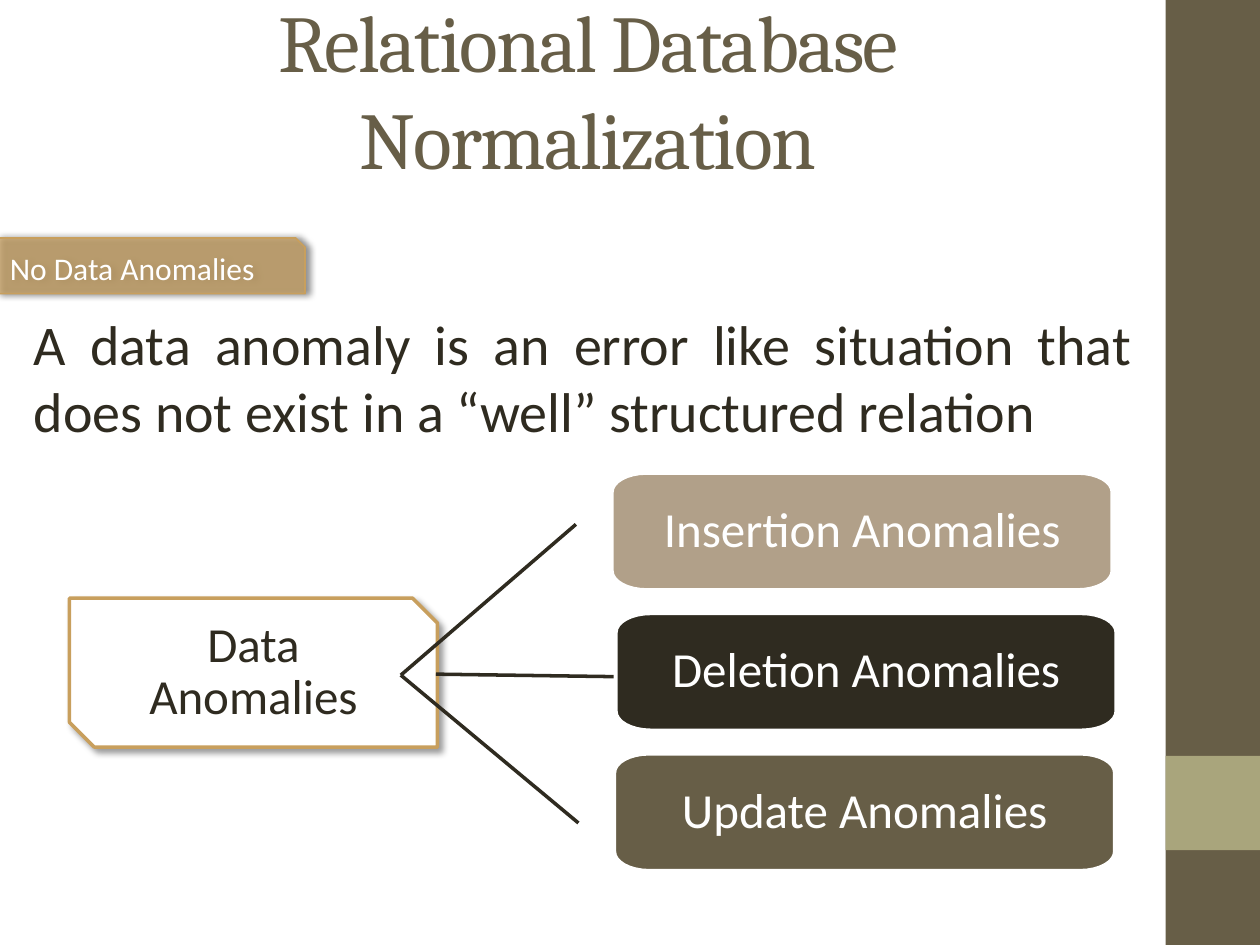
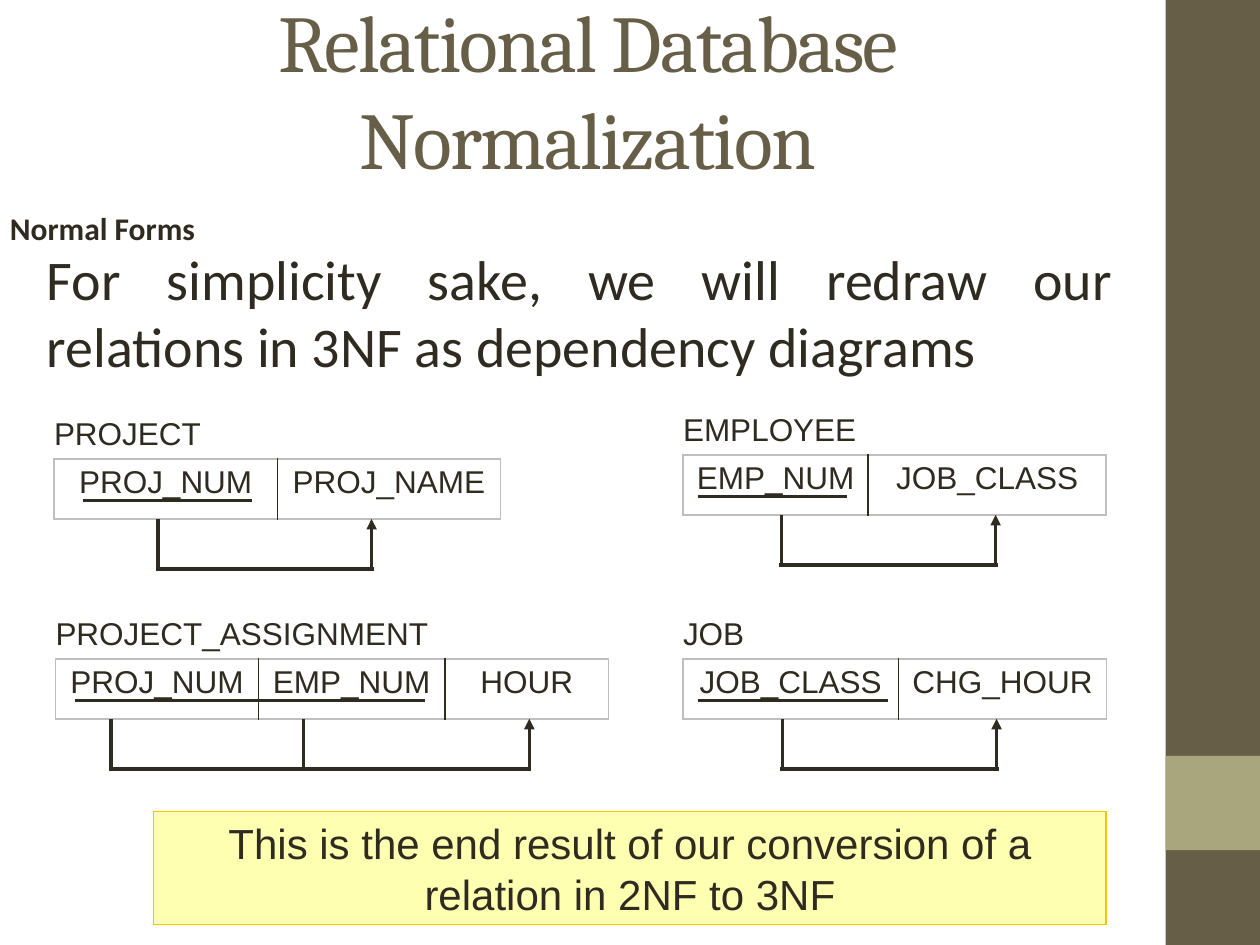
from math import cos, pi, sin

from lxml import etree
from pptx import Presentation
from pptx import util as u
from pptx.dml.color import RGBColor
from pptx.enum import shapes, text
from pptx.oxml import ns

Cm, Pt = u.Cm, u.Pt
SHAPE = shapes.MSO_SHAPE
ALIGN = text.PP_ALIGN
ANCHOR = text.MSO_ANCHOR

COLORS = {
    "ink": "2F2B20", "olive": "675E47", "sage": "A9A57C", "gold": "C89F5D",
    "taupe": "B1A089", "white": "FFFFFF", "yellow": "FFFF00",
    "amber": "FFC000", "grid": "BFBFBF", "black": "000000",
}
TITLE = "Relational Database Normalization"
TITLE_BOX = (1.27, 0.2, 21.16, 3.18)
BANDS = [((23.5, 0, 1.9, 19.05), "olive"), ((23.5, 15.24, 1.9, 1.9), "sage")]

TAG = "No Data Anomalies"
DEFINITION = ("A data anomaly is an error like situation that does not exist "
              "in a “well” structured relation")
ROOT = "Data Anomalies"
ANOMALIES = [
    ("Insertion Anomalies", "taupe", 12.32, (8.08, 13.61, 11.61, 10.57)),
    ("Deletion Anomalies", "ink", 12.4, (8.79, 13.59, 12.37, 13.64)),
    ("Update Anomalies", "olive", 12.37, (8.08, 13.61, 11.66, 16.59)),
]
ANOMALY_TOP, ANOMALY_PITCH = 9.52, 2.83
ANOMALY_SIZE = (10.12, 2.39)
CORNER = (0.71, 0.4)

HEADING = "Normal Forms"
INTRO = ("For simplicity sake, we will redraw our relations in 3NF "
         "as dependency diagrams")
CALLOUT = "This is the end result of our conversion of a relation in 2NF to 3NF"
RELATIONS = [
    {"name": "PROJECT", "at": (1.09, 9.25), "key": (1.68, 5.08),
     "columns": [("PROJ_NUM", 4.5), ("PROJ_NAME", 4.5)],
     "sources": [3.18], "target": 7.49},
    {"name": "PROJECT_ASSIGNMENT", "at": (1.12, 13.28), "key": (1.52, 8.56),
     "columns": [("PROJ_NUM", 4.09), ("EMP_NUM", 3.76), ("HOUR", 3.3)],
     "sources": [2.24, 6.12], "target": 10.67},
    {"name": "EMPLOYEE", "at": (13.77, 9.17), "key": (14.07, 17.07),
     "columns": [("EMP_NUM", 3.73), ("JOB_CLASS", 4.8)],
     "sources": [15.75], "target": 20.07},
    {"name": "JOB", "at": (13.77, 13.28), "key": (14.07, 17.91),
     "columns": [("JOB_CLASS", 4.34), ("CHG_HOUR", 4.2)],
     "sources": [15.77], "target": 20.09},
]
ROW_HEIGHT = 1.21
KEY_DROP = 0.84
RAIL_DROP = 1.01
RAIL_OVERHANG = 0.04


def rgb(name):
    return RGBColor.from_string(COLORS[name])


def add_xml(parent, tag, **attrs):
    return etree.SubElement(parent, ns.qn(tag), attrs)


def style_text(shape, content, size, color, font="Calibri", align=ALIGN.LEFT,
               anchor=ANCHOR.TOP, margins=None, spacing=None, bold=False):
    tf = shape.text_frame
    tf.text = content
    tf.word_wrap = True
    tf.auto_size = text.MSO_AUTO_SIZE.NONE
    tf.vertical_anchor = anchor
    if margins:
        left, top = margins
        tf.margin_left = tf.margin_right = Cm(left)
        tf.margin_top = tf.margin_bottom = Cm(top)
    p = tf.paragraphs[0]
    p.alignment = align
    if spacing:
        p.line_spacing = spacing
    r = p.runs[0]
    r.font.name = font
    r.font.size = Pt(size)
    r.font.bold = bold
    r.font.color.rgb = rgb(color)
    return r


def style_shape(sp, fill, line=None, width=1, alpha=None):
    sp.shadow.inherit = False
    sp.fill.solid()
    sp.fill.fore_color.rgb = rgb(fill)
    if alpha:
        clr = sp._element.spPr.find(ns.qn("a:solidFill"))[0]
        add_xml(clr, "a:alpha", val=str(alpha * 1000))
    if line:
        sp.line.color.rgb = rgb(line)
        sp.line.width = Pt(width)
    else:
        sp.line.fill.background()


def add_box(s, kind, box, *style, **options):
    sp = s.shapes.add_shape(kind, *map(Cm, box))
    style_shape(sp, *style, **options)
    return sp


def add_shadow(sp, alpha, blur, dist, angle):
    effects = sp._element.spPr.find(ns.qn("a:effectLst"))
    shadow = add_xml(effects, "a:outerShdw", blurRad=str(Pt(blur)),
                     dist=str(Pt(dist)), dir=str(angle * 60000),
                     algn="ctr", rotWithShape="0")
    clr = add_xml(shadow, "a:srgbClr", val=COLORS["black"])
    add_xml(clr, "a:alpha", val=str(alpha * 1000))


def add_text(s, box, content, size, **options):
    sp = s.shapes.add_textbox(*map(Cm, box))
    style_text(sp, content, size, "ink", **options)


def add_line(s, x1, y1, x2, y2, arrow=False):
    c = s.shapes.add_connector(shapes.MSO_CONNECTOR.STRAIGHT,
                               *map(Cm, (x1, y1, x2, y2)))
    c.line.color.rgb = rgb("ink")
    c.line.width = Pt(2)
    spPr = c._element.spPr
    if arrow:
        add_xml(spPr.find(ns.qn("a:ln")), "a:tailEnd", type="triangle")
    add_xml(spPr, "a:effectLst")


def add_pill(s, left, top, width, height):
    rx, ry = CORNER
    centres = [(left + width - rx, top + height - ry), (left + rx, top + height - ry),
               (left + rx, top + ry), (left + width - rx, top + ry)]
    points = []
    for quarter, (cx, cy) in enumerate(centres):
        for step in range(9):
            angle = (quarter + step / 8) * pi / 2
            points.append((Cm(cx + rx * cos(angle)), Cm(cy + ry * sin(angle))))
    builder = s.shapes.build_freeform(*points[0])
    builder.add_line_segments(points[1:], close=True)
    return builder.convert_to_shape()


def add_slide(prs):
    s = prs.slides.add_slide(prs.slide_layouts[5])
    title = s.shapes.title
    title.left, title.top, title.width, title.height = map(Cm, TITLE_BOX)
    r = style_text(title, TITLE, 46, "olive", font="Cambria",
                   align=ALIGN.CENTER, anchor=ANCHOR.MIDDLE)
    r.font._element.set("spc", "-100")
    for box, color in BANDS:
        add_box(s, SHAPE.RECTANGLE, box, color)
    return s


def add_relation(s, relation):
    left, top = relation["at"]
    columns = relation["columns"]
    add_text(s, (left - 0.25, top - 1.02, 8.1, 1.02), relation["name"], 18,
             font="Arial")
    table = s.shapes.add_table(
        1, len(columns), Cm(left), Cm(top),
        Cm(sum(width for _, width in columns)), Cm(ROW_HEIGHT)).table
    table.first_row = table.horz_banding = False
    last = len(columns) - 1
    for i, (name, width) in enumerate(columns):
        table.columns[i].width = Cm(width)
        cell = table.cell(0, i)
        cell.text = name
        p = cell.text_frame.paragraphs[0]
        p.alignment = ALIGN.CENTER
        r = p.runs[0]
        r.font.name = "Arial"
        r.font.size = Pt(18)
        r.font.color.rgb = rgb("ink")
        tcPr = cell._tc.get_or_add_tcPr()
        for side, inner in (("L", i > 0), ("R", i < last), ("T", False), ("B", False)):
            ln = add_xml(tcPr, "a:ln" + side, w=str(Pt(1)))
            fill = add_xml(ln, "a:solidFill")
            add_xml(fill, "a:srgbClr", val=COLORS["ink" if inner else "grid"])
        cell.fill.background()

    key_start, key_end = relation["key"]
    add_line(s, key_start, top + KEY_DROP, key_end, top + KEY_DROP)
    bottom = top + ROW_HEIGHT
    rail = bottom + RAIL_DROP
    target = relation["target"]
    for x in relation["sources"]:
        add_line(s, x, rail, x, bottom)
    add_line(s, relation["sources"][0] - RAIL_OVERHANG, rail,
             target + RAIL_OVERHANG, rail)
    add_line(s, target, rail, target, bottom, arrow=True)


def add_anomalies_slide(prs):
    s = add_slide(prs)
    tag = add_box(s, SHAPE.SNIP_1_RECTANGLE, (-0.05, 4.8, 6.2, 1.12),
                  "gold", "gold", alpha=70)
    add_shadow(tag, 60, 4, 2, 0)
    style_text(tag, TAG, 18, "white", anchor=ANCHOR.MIDDLE)
    add_text(s, (0.43, 6.12, 22.66, 3), DEFINITION, 32, align=ALIGN.JUSTIFY)

    root = add_box(s, SHAPE.SNIP_2_DIAG_RECTANGLE, (1.4, 12.06, 7.42, 3),
                   "white", "gold", width=2)
    add_shadow(root, 40, 4, 3, 45)
    centred = {"align": ALIGN.CENTER, "anchor": ANCHOR.MIDDLE, "spacing": 0.9}
    style_text(root, ROOT, 28, "ink", margins=(0.46, 0.46), **centred)
    for i, (name, color, left, branch) in enumerate(ANOMALIES):
        pill = add_pill(s, left, ANOMALY_TOP + i * ANOMALY_PITCH, *ANOMALY_SIZE)
        style_shape(pill, color, "white", width=3)
        style_text(pill, name, 28, "white", margins=(0.36, 0.36), **centred)
        add_line(s, *branch)


def add_normal_forms_slide(prs):
    s = add_slide(prs)
    add_text(s, (0, 4.34, 22.7, 0.9), HEADING, 18, margins=(0.2, 0),
             spacing=Pt(18), bold=True)
    add_text(s, (0.69, 4.8, 22, 3), INTRO, 32, align=ALIGN.JUSTIFY)
    for relation in RELATIONS:
        add_relation(s, relation)
    callout = add_box(s, SHAPE.RECTANGLE, (3.1, 16.36, 19.2, 2.28),
                      "yellow", "amber", width=0.75, alpha=30)
    style_text(callout, CALLOUT, 24, "ink", font="Arial",
               align=ALIGN.CENTER, anchor=ANCHOR.MIDDLE)


def main():
    prs = Presentation()
    prs.slide_width, prs.slide_height = Cm(25.4), Cm(19.05)
    add_anomalies_slide(prs)
    add_normal_forms_slide(prs)
    prs.save("out.pptx")


if __name__ == "__main__":
    main()
